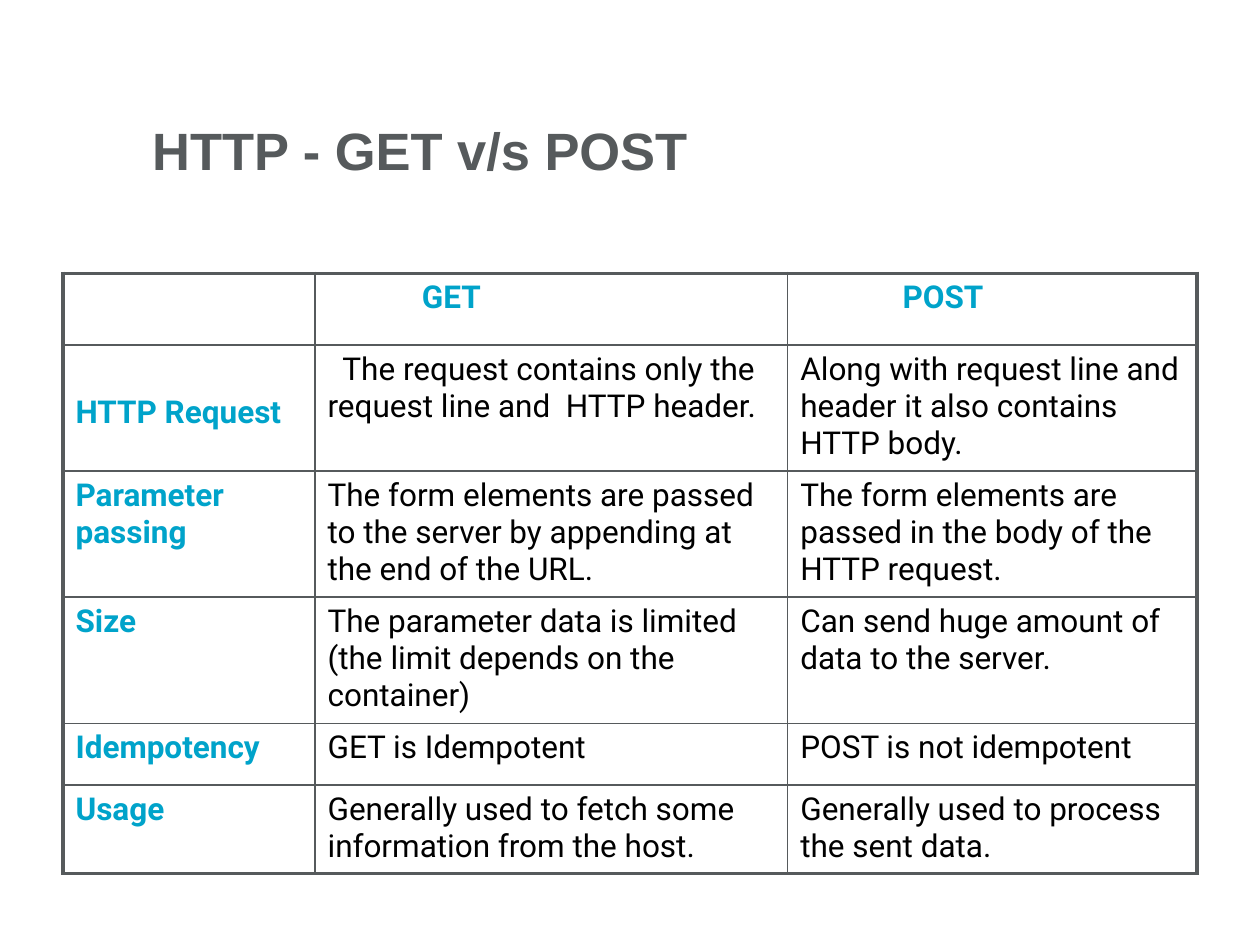
from lxml import etree
from pptx import Presentation
from pptx.dml.color import RGBColor
from pptx.enum.text import MSO_ANCHOR
from pptx.oxml.ns import qn
from pptx.util import Cm, Pt

GREY = RGBColor(0x56, 0x5A, 0x5C)
TEAL = RGBColor(0x00, 0xA3, 0xCA)
BLACK = RGBColor(0, 0, 0)
WHITE = RGBColor(0xFF, 0xFF, 0xFF)

COLUMN_WIDTHS = [5.08, 9.53, 8.25]
ROW_HEIGHTS = [1.44, 2.54, 2.54, 2.54, 1.24, 1.78]
COMPARISON = [
    ["", "GET", "POST"],
    ["HTTP Request",
     "The request contains only the request line and  HTTP header.",
     "Along with request line and header it also contains HTTP body."],
    ["Parameter passing",
     "The form elements are passed to the server by appending at the end of the URL.",
     "The form elements are passed in the body of the HTTP request."],
    ["Size",
     "The parameter data is limited (the limit depends on the container)",
     "Can send huge amount of data to the server."],
    ["Idempotency", "GET is Idempotent", "POST is not idempotent"],
    ["Usage",
     "Generally used to fetch some information from the host.",
     "Generally used to process the sent data."],
]
FIRST_LINE_INDENTS = {(0, 1): 1.9, (0, 2): 2.06, (1, 1): 0.3}
TOP_MARGINS = {(1, 0): 1.0}


class SlideBuilder:
    """Draws styled elements on the current slide."""

    title_font, body_font = "Arial", "Roboto"
    title_size, body_size = Pt(30), Pt(18)
    thin, thick = Pt(1), Pt(2.25)

    def __init__(self, slide):
        self.slide = slide

    def format_text(self, paragraph, font_name, size, color, bold):
        for run in paragraph.runs:
            run.font.name = font_name
            run.font.size = size
            run.font.bold = bold
            run.font.color.rgb = color

    def title(self, text, left, top, width, height):
        shape = self.slide.shapes.add_textbox(Cm(left), Cm(top), Cm(width), Cm(height))
        shape.fill.solid()
        shape.fill.fore_color.rgb = WHITE
        text_frame = shape.text_frame
        text_frame.word_wrap = True
        text_frame.vertical_anchor = MSO_ANCHOR.MIDDLE
        text_frame.margin_left = Cm(0.1)
        text_frame.margin_top = text_frame.margin_right = text_frame.margin_bottom = 0
        text_frame.text = text
        self.format_text(text_frame.paragraphs[0], self.title_font, self.title_size, GREY, True)

    def borders(self, cell, thick_sides):
        properties = cell._tc.get_or_add_tcPr()
        for position, side in enumerate("LRTB"):
            width = self.thick if side in thick_sides else self.thin
            line = etree.Element(qn(f"a:ln{side}"), w=str(int(width)))
            fill = etree.SubElement(line, qn("a:solidFill"))
            etree.SubElement(fill, qn("a:srgbClr"), val=str(GREY))
            properties.insert(position, line)

    def table(self, rows, left, top, widths, heights):
        frame = self.slide.shapes.add_table(
            len(rows), len(widths), Cm(left), Cm(top), Cm(sum(widths)), Cm(sum(heights)))
        table = frame.table
        table.first_row = table.horz_banding = False
        for column, width in zip(table.columns, widths):
            column.width = Cm(width)
        for row, height in zip(table.rows, heights):
            row.height = Cm(height)
        last_row, last_column = len(rows) - 1, len(widths) - 1
        for r, texts in enumerate(rows):
            for c, text in enumerate(texts):
                cell = table.cell(r, c)
                heading = r == 0 or c == 0
                cell.fill.background()
                cell.margin_top = Cm(TOP_MARGINS.get((r, c), 0.13))
                cell.text_frame.text = text
                paragraph = cell.text_frame.paragraphs[0]
                indent = FIRST_LINE_INDENTS.get((r, c), 0)
                paragraph._p.get_or_add_pPr().set("indent", str(int(Cm(indent))))
                self.format_text(paragraph, self.body_font, self.body_size,
                                 TEAL if heading else BLACK, heading)
                edges = {"L": c == 0, "R": c == last_column, "T": r == 0, "B": r == last_row}
                self.borders(cell, [side for side, outer in edges.items() if outer])


presentation = Presentation()
presentation.slide_width, presentation.slide_height = Cm(25.4), Cm(19.05)
builder = SlideBuilder(presentation.slides.add_slide(presentation.slide_layouts[6]))
builder.title("HTTP - GET v/s POST", 2.97, 2.31, 11.99, 1.42)
builder.table(COMPARISON, 1.27, 5.51, COLUMN_WIDTHS, ROW_HEIGHTS)
presentation.save("out.pptx")
